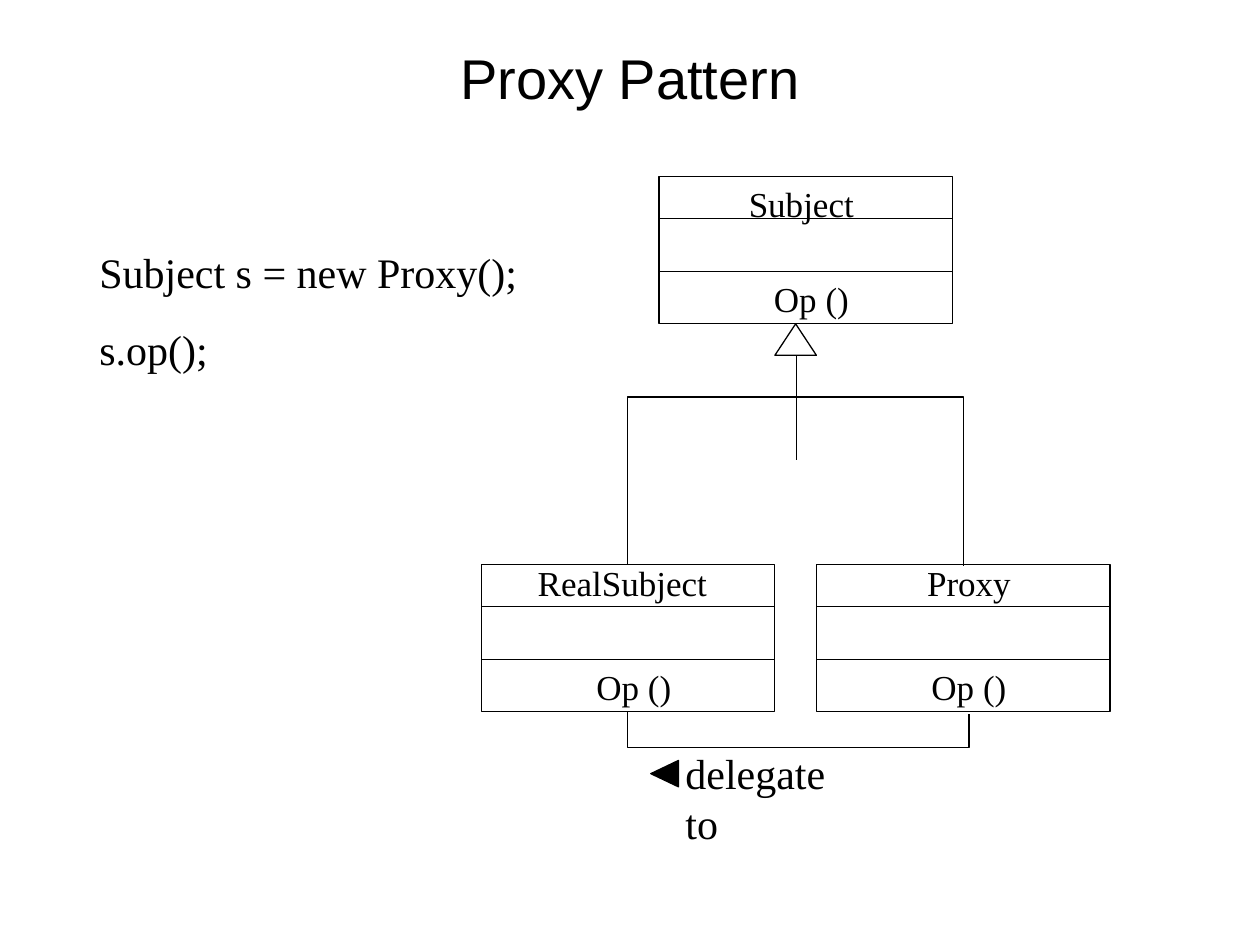
from lxml.etree import SubElement
from pptx import Presentation
from pptx.dml.color import RGBColor
from pptx.enum.shapes import MSO_CONNECTOR as Link, MSO_SHAPE as Shape
from pptx.enum.text import MSO_ANCHOR as Anchor, PP_ALIGN as Align
from pptx.oxml.ns import qn
from pptx.util import Inches, Pt

BLACK, WHITE = "000000", "FFFFFF"
SERIF = "Times New Roman"
CLASS_WIDTH, CLASS_HEIGHT, ROWS = 2.33, 1.17, 14
DIVIDERS = (4, 9)


def color(value):
    """Turn a hex string into a colour."""
    return RGBColor.from_string(value)


def add_text(page, box, lines, size, font=SERIF, align=Align.LEFT,
             anchor=Anchor.TOP, inset=(0.1, 0.05), wrap=True, gap=0):
    """Write the lines as paragraphs in the given box."""
    frame = page.shapes.add_textbox(*map(Inches, box)).text_frame
    frame.word_wrap, frame.vertical_anchor = wrap, anchor
    frame.margin_left = frame.margin_right = Inches(inset[0])
    frame.margin_top = frame.margin_bottom = Inches(inset[1])
    frame.text = "\n".join(lines)
    for index, para in enumerate(frame.paragraphs):
        para.alignment = align
        para.space_before = Pt(gap if index else 0)
        para.font.name, para.font.size = font, Pt(size)
        para.font.color.rgb = color(BLACK)


def add_outline(page, preset, box, fill=WHITE, rotation=0):
    """Draw a preset shape with a thin black line."""
    shape = page.shapes.add_shape(preset, *map(Inches, box))
    shape.shadow.inherit = False
    shape.fill.solid()
    shape.fill.fore_color.rgb = color(fill)
    shape.line.color.rgb = color(BLACK)
    shape.line.width = Pt(0.75)
    shape.rotation = rotation


def add_line(page, start, end, kind=Link.STRAIGHT):
    """Draw a thin black connector without a shadow."""
    line = page.shapes.add_connector(kind, *map(Inches, start + end))
    line.line.color.rgb = color(BLACK)
    line.line.width = Pt(0.75)
    SubElement(line._element.spPr, qn("a:effectLst"))
    return line


def add_bracket(page, start, end, level):
    """Join two points by an elbow whose crossbar lies at the given height."""
    (x1, y1), (x2, y2) = start, end
    middle_x, middle_y = (x1 + x2) / 2, (y1 + y2) / 2
    run, rise = (x2 - x1) / 2, (y2 - y1) / 2
    line = add_line(page, (middle_x - rise * -1, middle_y - run),
                    (middle_x - rise, middle_y + run), Link.ELBOW)
    properties = line._element.spPr
    properties.find(qn("a:xfrm")).set("rot", str(270 * 60000))
    guides = properties.find(qn("a:prstGeom")).find(qn("a:avLst"))
    bend = round((level - y1) / (y2 - y1) * 100000)
    SubElement(guides, qn("a:gd"), name="adj1", fmla=f"val {bend}")


def add_class(page, left, top, name, name_shift):
    """Draw a class box with its name, empty fields and operation."""
    add_outline(page, Shape.RECTANGLE, (left, top, CLASS_WIDTH, CLASS_HEIGHT))
    row = CLASS_HEIGHT / ROWS
    for count in DIVIDERS:
        height = top + count * row
        add_line(page, (left, height), (left + CLASS_WIDTH, height))
    shifts = {name: name_shift, "Op ()": (0.17, DIVIDERS[-1] * row)}
    for label, (right, down) in shifts.items():
        add_text(page, (left + right, top + down, 2.08, 0.44), [label], 20,
                 align=Align.CENTER)


def add_inheritance(page, left, top):
    """Draw the hollow arrow and the bracket down to both subclasses."""
    center = left + 0.17
    add_bracket(page, (4.98, 4.48), (7.65, 4.49), 3.13)
    add_line(page, (center, top + 0.25), (center, top + 1.08))
    add_outline(page, Shape.ISOSCELES_TRIANGLE, (left, top, 0.33, 0.25))


def add_delegation(page, left, top):
    """Draw the bracket below the subclasses with its label and pointer."""
    add_bracket(page, (7.69, 5.67), (4.98, 5.65), top)
    add_text(page, (left + 0.27, top, 1.45, 0.4), ["delegate to"], 24,
             inset=(0, 0), wrap=False)
    add_outline(page, Shape.ISOSCELES_TRIANGLE,
                (left, top + 0.1, 0.21, 0.22), BLACK, 270)


def main():
    """Build the slide and save it."""
    deck = Presentation()
    deck.slide_width, deck.slide_height = Inches(10), Inches(7.5)
    page = deck.slides.add_slide(deck.slide_layouts[6])
    add_text(page, (0.5, 0.3, 9, 0.62), ["Proxy Pattern"], 32, "Arial",
             Align.CENTER, Anchor.MIDDLE)
    add_class(page, 5.23, 1.4, "Subject", (0.09, 0))
    add_class(page, 6.48, 4.48, "Proxy", (0.17, -0.07))
    add_class(page, 3.82, 4.48, "RealSubject", (0.08, -0.07))
    add_inheritance(page, 6.15, 2.57)
    add_delegation(page, 5.17, 5.93)
    add_text(page, (0.69, 1.91, 3.56, 1.11),
             ["Subject s = new Proxy();", "s.op();"], 24, gap=15)
    deck.save("out.pptx")


if __name__ == "__main__":
    main()
